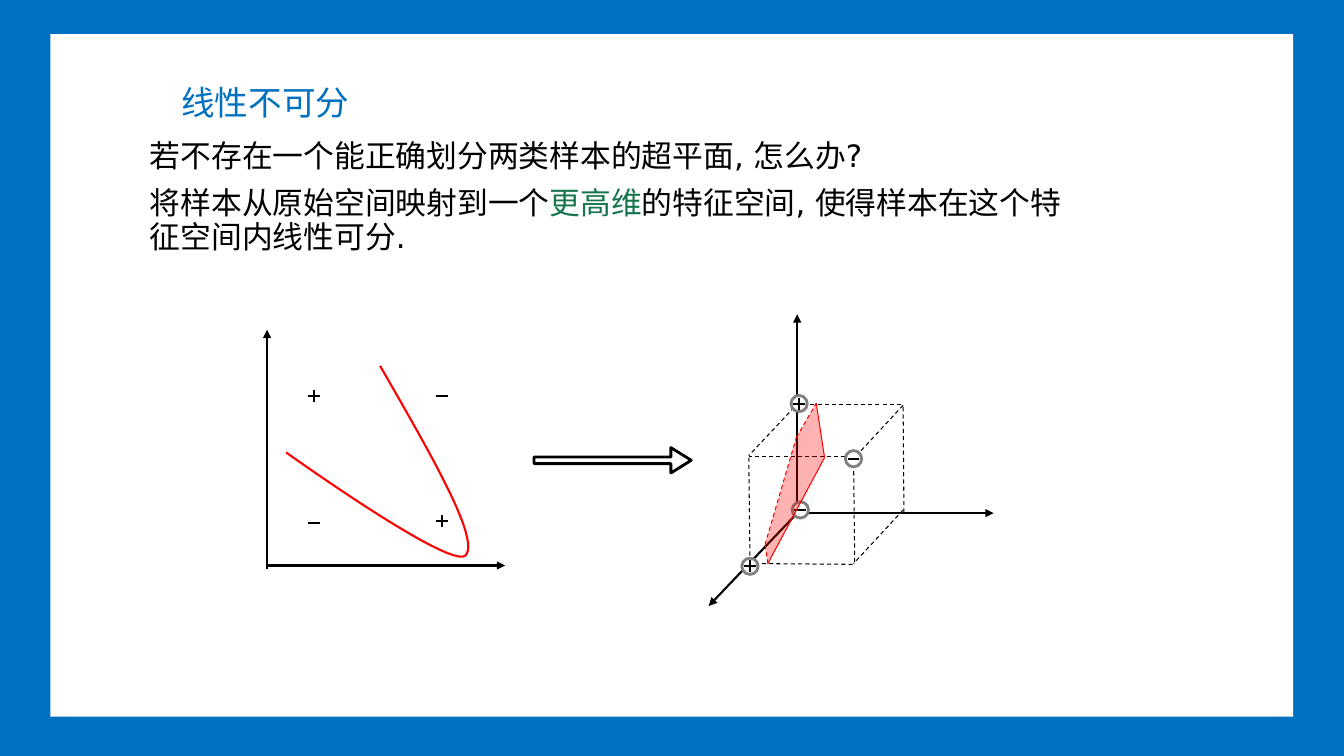
import pptx
import pptx.util
import pptx.dml.color
import pptx.enum.dml
import pptx.enum.shapes
import pptx.oxml
import pptx.oxml.ns
from pptx.util import Cm

COLORS = {"blue": "0070C0", "white": "FFFFFF", "black": "000000",
          "green": "16754D", "red": "FF0000", "gray": "808080"}
TITLE = [[("线性不可分", "blue")]]
BODY = [
    [("若不存在一个能正确划分两类样本的超平面, 怎么办?", "black")],
    [("将样本从原始空间映射到一个", "black"), ("更高维", "green"),
     ("的特征空间, 使得样本在这个特征空间内线性可分.", "black")],
]
PANEL = (1.27, 0.86, 31.32, 17.2)
TITLE_BOX = (4.32, 1.93, 7.32, 1.27)
BODY_BOX = (3.53, 3.43, 23.93, 13.69)
MAPPING_ARROW = (13.46, 11.28, 3.96, 0.64)
ORIGIN = (20.09, 12.93)
AXES = [
    ((6.73, 14.33), (6.73, 8.31)),
    ((6.73, 14.25), (12.73, 14.25)),
    (ORIGIN, (20.09, 7.92)),
    (ORIGIN, (25.04, 12.93)),
    (ORIGIN, (17.86, 15.27)),
]
CUBE_EDGES = [
    ((20.14, 10.13), (18.87, 11.48)),
    ((18.87, 11.53), (18.9, 14)),
    ((22.76, 10.26), (22.78, 12.95)),
    ((22.71, 10.19), (20.12, 10.19)),
    ((21.49, 14.22), (18.87, 14.2)),
    ((22.76, 12.85), (21.51, 14.2)),
    ((21.49, 11.51), (18.87, 11.51)),
    ((21.51, 11.51), (21.54, 14.2)),
    ((22.76, 10.21), (21.51, 11.56)),
]
SAMPLES = [
    ("+", 11.13, 13.13, False), ("+", 7.92, 9.98, False),
    ("-", 11.13, 9.98, False), ("-", 7.92, 13.18, False),
    ("+", 18.9, 14.27, True), ("+", 20.14, 10.17, True),
    ("-", 21.51, 11.56, True), ("-", 20.17, 12.85, True),
]
SIGN_HALF = 0.15
RING_SIZE = 0.41
BOUNDARY = [
    ((9.58, 9.22), (10.85, 11.43), (12.12, 13.61), (11.73, 14)),
    ((11.73, 14), (11.33, 14.35), (7.21, 11.4), (7.21, 11.4)),
]
CURVE_STEPS = 24
PLANE = [(20.57, 10.16), (20.78, 11.53), (19.35, 14.2), (19.28, 13.72), (20.07, 11.02)]
PLANE_DASHED = [False, False, True, True, True]

SHAPES = pptx.enum.shapes.MSO_SHAPE


def rgb(name):
    return pptx.dml.color.RGBColor.from_string(COLORS[name])


def add_tag(parent, tag, **values):
    element = pptx.oxml.parse_xml(f'<{tag} {pptx.oxml.ns.nsdecls("a")}/>')
    for key, value in values.items():
        element.set(key, value)
    parent.append(element)


def style(shape, fill=None, line=None, width=1.5):
    shape.shadow.inherit = False
    if fill:
        shape.fill.solid()
        shape.fill.fore_color.rgb = rgb(fill)
    else:
        shape.fill.background()
    if line:
        shape.line.color.rgb = rgb(line)
        shape.line.width = pptx.util.Pt(width)
    else:
        shape.line.fill.background()


def add_shape(page, kind, place, **look):
    shape = page.shapes.add_shape(kind, *map(Cm, place))
    style(shape, **look)
    return shape


def add_line(page, start, end, color="black", width=1.5, dashed=False, arrow=False):
    line = page.shapes.add_connector(
        pptx.enum.shapes.MSO_CONNECTOR.STRAIGHT, *map(Cm, start + end))
    line.line.color.rgb = rgb(color)
    line.line.width = pptx.util.Pt(width)
    if dashed:
        line.line.dash_style = pptx.enum.dml.MSO_LINE.DASH
    if arrow:
        add_tag(line.line._get_or_add_ln(), "a:tailEnd", type="triangle")
    add_tag(line._element.spPr, "a:effectLst")


def add_outline(page, points, close, **look):
    corners = [(Cm(x), Cm(y)) for x, y in points]
    builder = page.shapes.build_freeform(*corners[0])
    builder.add_line_segments(corners[1:], close=close)
    shape = builder.convert_to_shape()
    style(shape, **look)
    return shape


def add_text(page, place, paragraphs, size, font, spacing):
    box = page.shapes.add_textbox(*map(Cm, place))
    frame = box.text_frame
    frame.word_wrap = True
    for index, spans in enumerate(paragraphs):
        para = frame.add_paragraph() if index else frame.paragraphs[0]
        layout = {"line_spacing": spacing, "space_before": pptx.util.Pt(10 if index else 0)}
        for key, value in layout.items():
            setattr(para, key, value)
        for text, color in spans:
            span = para.add_run()
            span.text = text
            for key, value in {"size": pptx.util.Pt(size), "name": font}.items():
                setattr(span.font, key, value)
            span.font.color.rgb = rgb(color)
            add_tag(span._r.get_or_add_rPr(), "a:ea", typeface="Noto Sans CJK SC")


def add_sample(page, sign, x, y, ringed):
    if ringed:
        corner = (x - RING_SIZE / 2, y - RING_SIZE / 2)
        add_shape(page, SHAPES.OVAL, corner + (RING_SIZE, RING_SIZE),
                  fill="white", line="gray", width=2)
    add_line(page, (x - SIGN_HALF, y), (x + SIGN_HALF, y))
    if sign == "+":
        add_line(page, (x, y - SIGN_HALF), (x, y + SIGN_HALF))


def curve_point(controls, t):
    weights = ((1 - t) ** 3, 3 * t * (1 - t) ** 2, 3 * t * t * (1 - t), t ** 3)
    return tuple(sum(w * point[axis] for w, point in zip(weights, controls)) for axis in (0, 1))


def main():
    deck = pptx.Presentation()
    deck.slide_width, deck.slide_height = Cm(33.87), Cm(19.05)
    page = deck.slides.add_slide(deck.slide_layouts[6])
    page.background.fill.solid()
    page.background.fill.fore_color.rgb = rgb("blue")

    add_shape(page, SHAPES.RECTANGLE, PANEL, fill="white")
    add_text(page, TITLE_BOX, TITLE, 24, "Noto Sans CJK SC", 1.0)
    add_text(page, BODY_BOX, BODY, 22, "DejaVu Sans", 0.9)

    for start, end in AXES:
        add_line(page, start, end, arrow=True)
    for start, end in CUBE_EDGES:
        add_line(page, start, end, width=0.75, dashed=True)
    for sample in SAMPLES:
        add_sample(page, *sample)

    curve = [curve_point(part, step / CURVE_STEPS)
             for part in BOUNDARY for step in range(CURVE_STEPS + 1)]
    add_outline(page, curve, False, line="red")

    for start, end, dashed in zip(PLANE, PLANE[1:] + PLANE[:1], PLANE_DASHED):
        add_line(page, start, end, "red", 0.75, dashed)
    plane = add_outline(page, PLANE, True, fill="red")
    tint = plane._element.spPr.find(pptx.oxml.ns.qn("a:solidFill"))[0]
    add_tag(tint, "a:alpha", val="30000")

    arrow = add_shape(page, SHAPES.RIGHT_ARROW, MAPPING_ARROW, line="black", width=2)
    arrow.adjustments[0], arrow.adjustments[1] = 0.26, 0.8
    deck.save("out.pptx")


if __name__ == "__main__":
    main()
